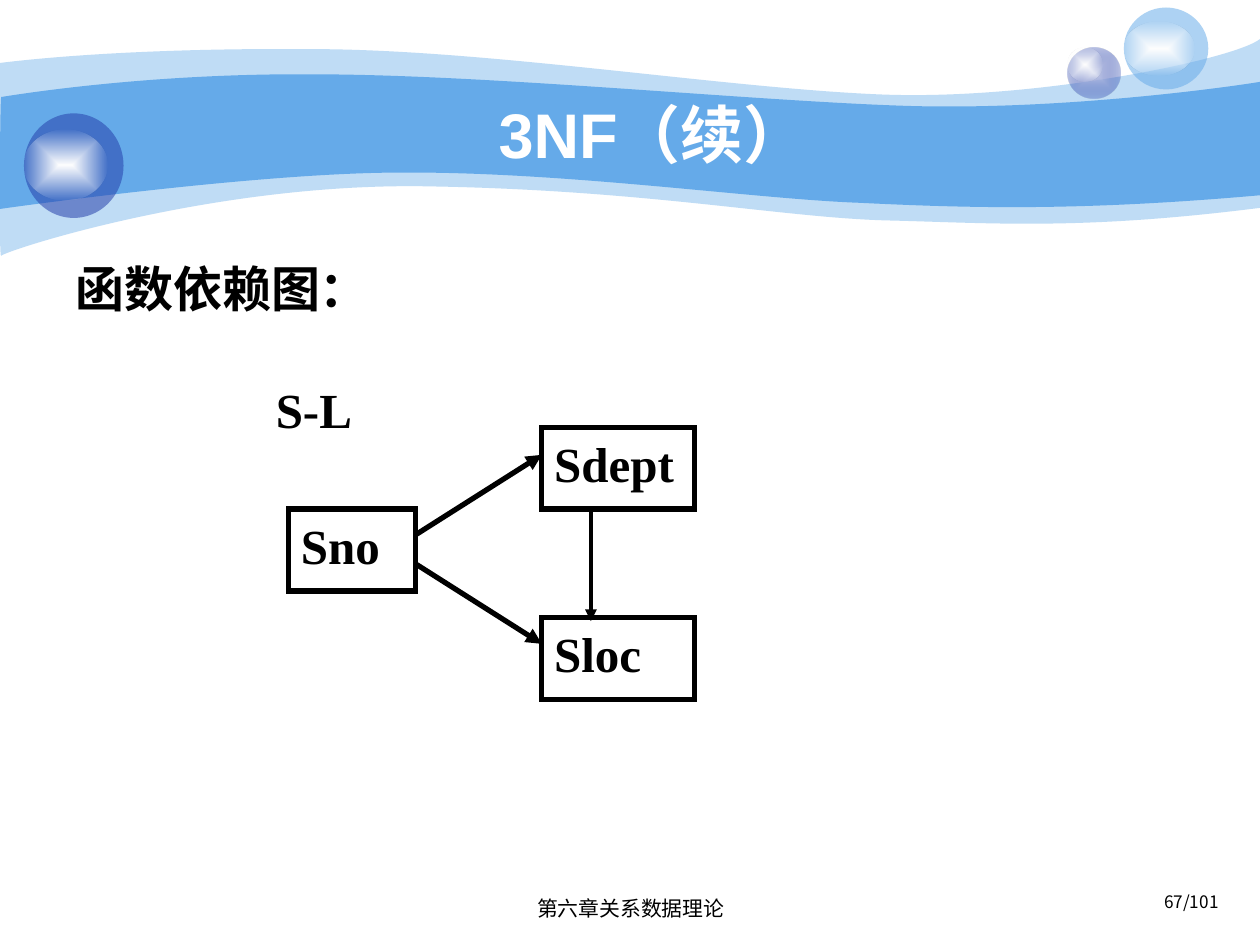
from lxml import etree
from pptx import Presentation
from pptx.dml.color import RGBColor
from pptx.enum.shapes import MSO_CONNECTOR, MSO_SHAPE
from pptx.enum.text import MSO_ANCHOR, PP_ALIGN
from pptx.oxml.ns import qn
from pptx.util import Inches, Pt

OVAL, RECTANGLE = MSO_SHAPE.OVAL, MSO_SHAPE.RECTANGLE
STRAIGHT = MSO_CONNECTOR.STRAIGHT
TOP, MIDDLE = MSO_ANCHOR.TOP, MSO_ANCHOR.MIDDLE
LEFT, CENTER, RIGHT = PP_ALIGN.LEFT, PP_ALIGN.CENTER, PP_ALIGN.RIGHT
BLACK, WHITE, SKY, NAVY = "000000", "FFFFFF", "65AAE9", "233DA9"
SANS, SERIF, CJK = "Arial", "Times New Roman", "Noto Sans CJK SC"


def paint(color_holder, color, alpha=100):
    """Fill a shape, line, font or gradient stop with a hex colour."""
    if hasattr(color_holder, "solid"):
        color_holder.solid()
        color_holder = color_holder.fore_color
    else:
        color_holder = color_holder.color
    color_holder.rgb = RGBColor.from_string(color)
    if alpha < 100:
        node = color_holder._color._xClr
        etree.SubElement(node, qn("a:alpha")).set("val", str(alpha * 1000))


def write(shape, text, size, font=SANS, color=BLACK, bold=False,
          align=LEFT, anchor=TOP):
    frame = shape.text_frame
    frame.text = text
    frame.word_wrap = True
    frame.vertical_anchor = anchor
    para = frame.paragraphs[0]
    para.alignment = align
    span = para.runs[0]
    span.font.size, span.font.bold, span.font.name = Pt(size), bold, font
    paint(span.font.fill, color)
    east_asian = etree.SubElement(span._r.get_or_add_rPr(), qn("a:ea"))
    east_asian.set("typeface", CJK)
    return para


deck = Presentation()
deck.slide_width, deck.slide_height = Inches(10), Inches(7.5)
page = deck.slides.add_slide(deck.slide_layouts[5])
shapes = page.shapes

# Wave bands: opacity, start, then curves (three points) or lines (one point)
bands = [
    (41, (0, 0.5), [
        [(0.24, 0.47), (1.07, 0.38), (2.47, 0.39)],
        [(3.86, 0.39), (5.75, 0.7), (6.99, 0.75)],
        [(8.22, 0.8), (9.8, 0.47), (10, 0.31)],
        [(10, 1.65)],
        [(8.58, 1.83), (7.87, 1.77), (7.05, 1.75)],
        [(6.22, 1.73), (5.15, 1.51), (3.43, 1.48)],
        [(1.72, 1.44), (0.04, 1.99), (0.01, 2.03)],
        [(-0.01, 2.08), (0, 0.75), (0, 0.5)]]),
    (100, (0.01, 0.77), [
        [(0.02, 0.77), (1.1, 0.58), (2.48, 0.59)],
        [(3.86, 0.59), (5.95, 0.8), (7.18, 0.84)],
        [(8.41, 0.88), (9.76, 0.69), (10, 0.65)],
        [(10, 1.55)],
        [(8.53, 1.68), (7.65, 1.65), (6.82, 1.61)],
        [(5.99, 1.58), (4.47, 1.36), (3.17, 1.37)],
        [(2.03, 1.37), (-0.02, 1.66), (-0.01, 1.66)],
        [(0, 1.66), (0, 0.77), (0.01, 0.77)]]),
]
for alpha, start, segments in bands:
    builder = shapes.build_freeform(*map(Inches, start))
    builder.add_line_segments(
        [tuple(map(Inches, segment[-1])) for segment in segments], close=True)
    band = builder.convert_to_shape()
    band.shadow.inherit = False
    band.line.fill.background()
    paint(band.fill, SKY, alpha)
    # Bend the straight sides into curves
    sides = list(band._element.iter(qn("a:lnTo")))
    for side, segment in zip(sides, segments):
        if len(segment) == 3:
            curve = etree.Element(qn("a:cubicBezTo"))
            for x, y in segment:
                etree.SubElement(curve, qn("a:pt"), x=str(Inches(x) - band.left),
                                 y=str(Inches(y) - band.top))
            side.getparent().replace(side, curve)

# Bubbles: each a tinted disc with a white glow; two stops make a gradient
glow = [(WHITE, 100), (WHITE, 0)]
bubbles = [
    ((8.47, 0.38, 0.42, 0.4), [("C7CEE9", 100), (NAVY, 31)]),
    ((8.47, 0.38, 0.28, 0.27), glow),
    ((8.92, 0.06, 0.67, 0.65), [(SKY, 53)]),
    ((8.92, 0.17, 0.56, 0.43), glow),
    ((0.19, 0.9, 0.79, 0.83), [(NAVY, 53)]),
    ((0.19, 1.03, 0.66, 0.56), glow),
]
for place, stops in bubbles:
    bubble = shapes.add_shape(OVAL, *map(Inches, place))
    bubble.shadow.inherit = False
    bubble.line.fill.background()
    if len(stops) == 1:
        paint(bubble.fill, *stops[0])
        continue
    bubble.fill.gradient()
    for stop, (color, alpha) in zip(bubble.fill.gradient_stops, stops):
        paint(stop, color, alpha)
    gradient = bubble._element.spPr.find(qn("a:gradFill"))
    gradient.remove(gradient.find(qn("a:lin")))
    shade = etree.SubElement(gradient, qn("a:path"), path="rect")
    etree.SubElement(shade, qn("a:fillToRect"),
                     l="50000", t="50000", r="50000", b="50000")

# Title, brought in front of the bands
title = shapes.title
title.left, title.top = Inches(1.14), Inches(0.75)
title.width, title.height = Inches(8.08), Inches(0.62)
write(title, "3NF（续）", 36, color=WHITE, bold=True, align=CENTER, anchor=MIDDLE)
shapes._spTree.append(title._element)

# Page number, footer, heading and diagram name
labels = [
    ((7.44, 7.06, 2.33, 0.29), "67/101", 9.8, CJK, False, RIGHT, 0.8),
    ((3.42, 7.06, 3.17, 0.32), "第六章关系数据理论", 11.9, SANS, False, CENTER, 1),
    ((0.5, 2, 9, 4.92), "函数依赖图：", 28, SANS, True, LEFT, 1),
    ((2.09, 2.96, 1.21, 0.65), "S-L", 28, SERIF, True, LEFT, 1),
]
for place, text, size, font, bold, align, spacing in labels:
    label = shapes.add_textbox(*map(Inches, place))
    para = write(label, text, size, font, bold=bold, align=align)
    para.line_spacing = spacing

# Attribute boxes with square corners
for text, left, top, width in [("Sno", 2.29, 4.04, 1.01),
                               ("Sdept", 4.3, 3.39, 1.21),
                               ("Sloc", 4.3, 4.9, 1.21)]:
    box = shapes.add_shape(RECTANGLE, Inches(left), Inches(top),
                           Inches(width), Inches(0.65))
    box.shadow.inherit = False
    box.fill.background()
    paint(box.line.fill, BLACK)
    box.line.width = Pt(3)
    etree.SubElement(box.line._get_or_add_ln(), qn("a:miter"), lim="800000")
    write(box, text, 28, SERIF, bold=True)

# Dependency arrows
for ends, weight in [((3.29, 4.25, 4.3, 3.61), 3),
                     ((3.29, 4.47, 4.3, 5.11), 3),
                     ((4.69, 4.06, 4.69, 4.93), 2.25)]:
    arrow = shapes.add_connector(STRAIGHT, *map(Inches, ends))
    paint(arrow.line.fill, BLACK)
    arrow.line.width = Pt(weight)
    etree.SubElement(arrow.line._get_or_add_ln(), qn("a:tailEnd"), type="triangle")
    etree.SubElement(arrow._element.spPr, qn("a:effectLst"))

deck.save("out.pptx")
